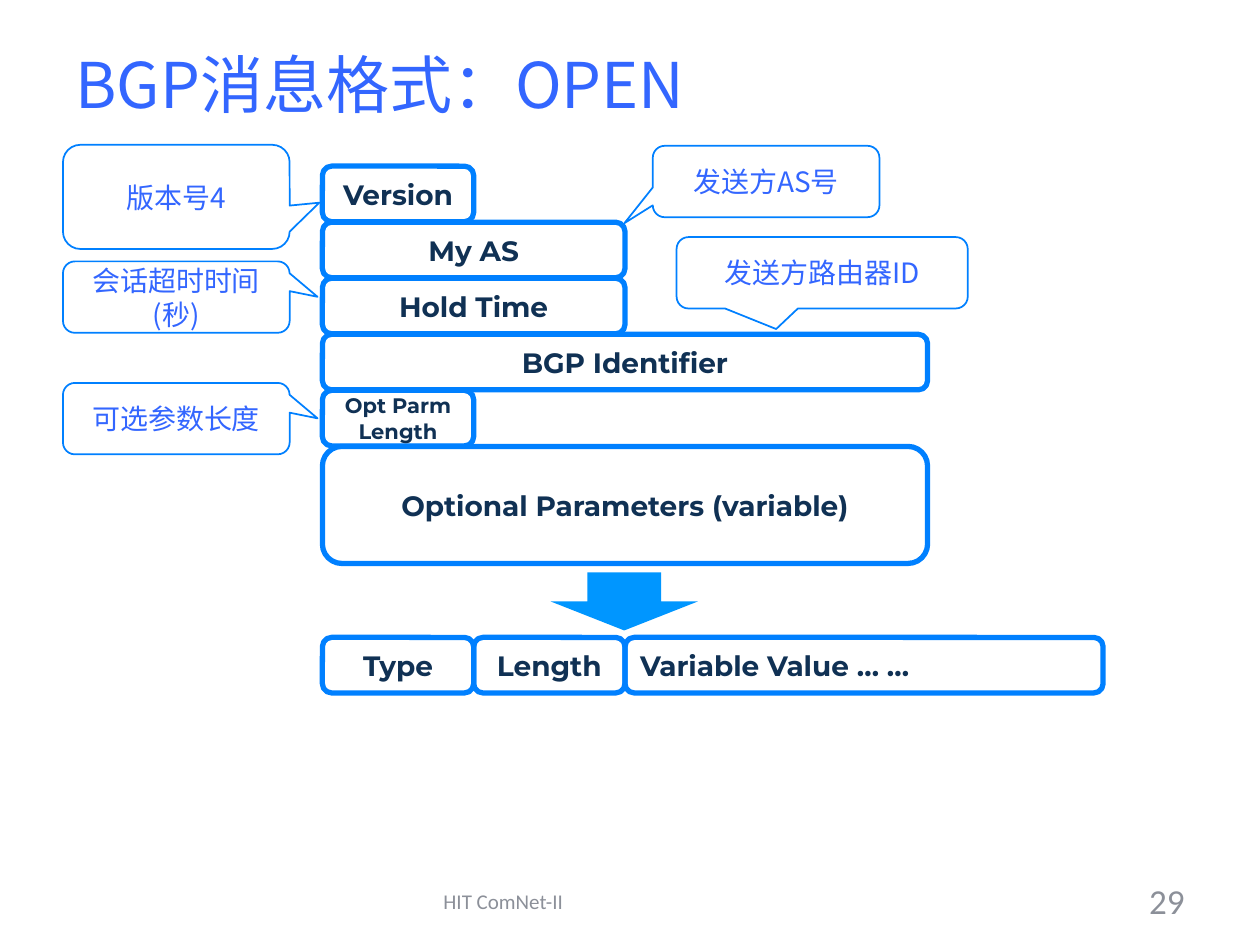
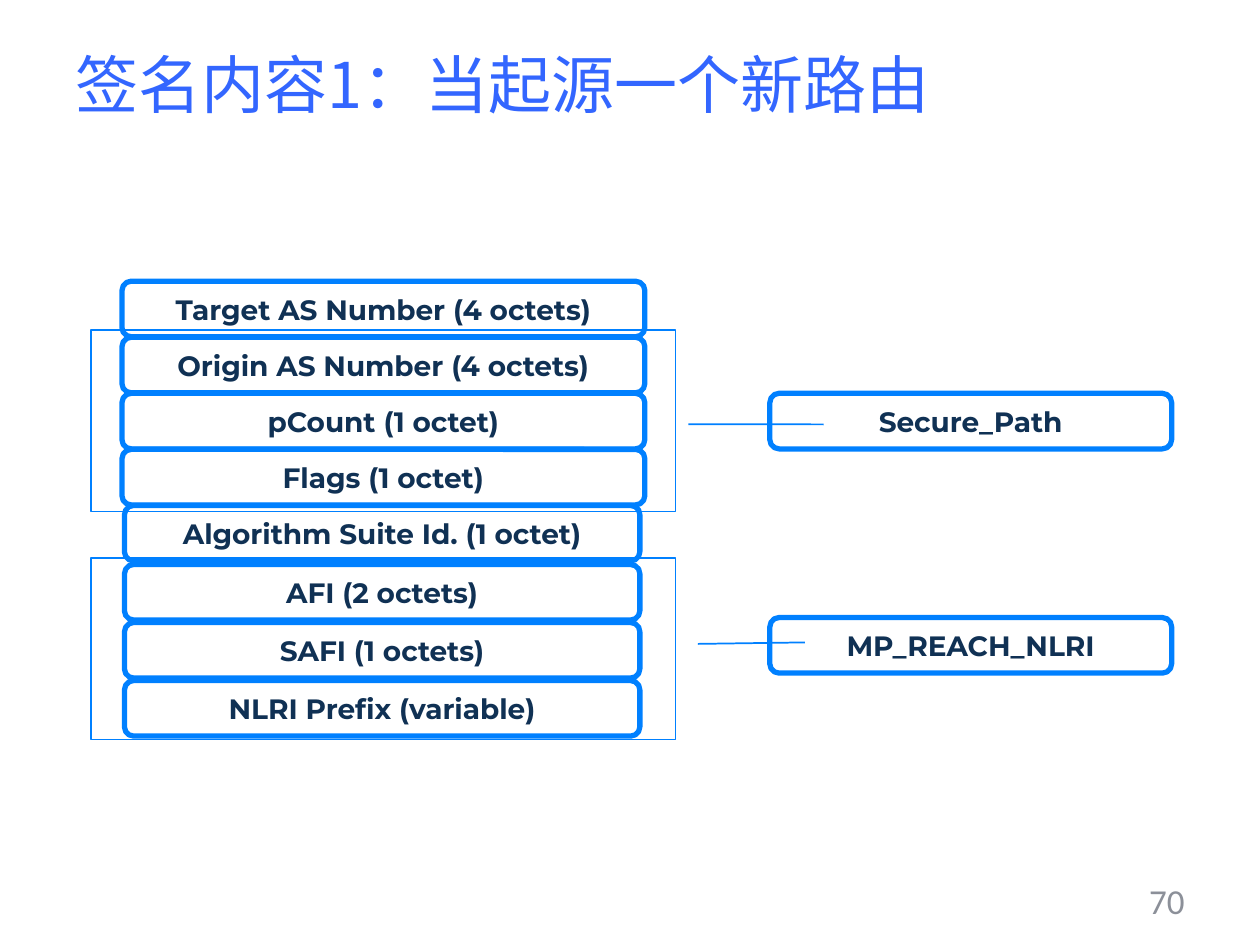
from lxml import etree
from pptx import Presentation
from pptx.dml.color import RGBColor
from pptx.enum import shapes, text
from pptx.oxml import ns
from pptx.util import Cm, Pt

COLORS = {
    "title": "3366FF",
    "field": "103154",
    "outline": "0080FF",
    "arrow": "0096FF",
    "footer": "8C9099",
}
CJK, LATIN, FOOTER = "Noto Sans CJK SC", "Montserrat", "Calibri"
KIND = shapes.MSO_SHAPE
ALIGN = text.PP_ALIGN

# All lengths are in centimetres.
ROW_HEIGHT = 1.12
ROW_PITCH = 1.13

OPEN = {
    "title": "BGP消息格式：OPEN",
    "footer": "HIT ComNet-II",
    "number": "29",
    "left": 6.5,
    "top": 3.35,
    "byte": 3.05,  # width of one octet
    # label, octets wide, height, text size
    "fields": [
        ("Version", 1, ROW_HEIGHT, 16),
        ("My AS", 2, ROW_HEIGHT, 16),
        ("Hold Time", 2, ROW_HEIGHT, 16),
        ("BGP Identifier", 4, ROW_HEIGHT, 16),
        ("Opt Parm Length", 1, ROW_HEIGHT, 12),
        ("Optional Parameters (variable)", 4, 2.36, 16),
    ],
    # label, left, top, width, height, tip as a share of the size from the centre
    "callouts": [
        ("版本号4", 1.27, 2.92, 4.57, 2.1, (0.631, 0.056)),
        ("会话超时时间(秒)", 1.27, 5.27, 4.57, 1.44, (0.623, -0.004)),
        ("可选参数长度", 1.27, 7.72, 4.57, 1.44, (0.623, -0.004)),
        ("发送方AS号", 13.16, 2.94, 4.57, 1.44, (-0.625, 0.583)),
        ("发送方路由器ID", 13.64, 4.78, 5.87, 1.44, (-0.158, 0.788)),
    ],
    "arrow": (11.1, 11.54, 2.97, 1.17),
    "parameter_top": 12.85,
    "parameter": [
        ("Type", 1, ALIGN.CENTER),
        ("Length", 1, ALIGN.CENTER),
        ("Variable Value … …", 3.16, ALIGN.LEFT),
    ],
}

SIGNATURE = {
    "title": "签名内容1：当起源一个新路由",
    "number": "70",
    # left, top, width, pitch, labels
    "stacks": [
        (2.46, 5.67, 10.54, ROW_PITCH, [
            "Target AS Number (4 octets)",
            "Origin AS Number (4 octets)",
            "pCount (1 octet)",
            "Flags (1 octet)",
        ]),
        (2.51, 10.19, 10.39, ROW_PITCH, ["Algorithm Suite Id. (1 octet)"]),
        (2.51, 11.38, 10.39, 1.17, [
            "AFI (2 octets)",
            "SAFI (1 octets)",
            "NLRI Prefix (variable)",
        ]),
    ],
    # attribute, its top, top of the bracket, leader as y1, x1, y2, x2
    "attributes": [
        ("Secure_Path", 7.93, 6.65, (0.52, 1.022, 0.521, 1.253)),
        ("MP_REACH_NLRI", 12.45, 11.25, (0.473, 1.038, 0.465, 1.221)),
    ],
}


def rgb(name):
    return RGBColor.from_string(COLORS[name])


def write(shape, words, *, font, size, color, bold=False, align=ALIGN.CENTER):
    """Put one formatted paragraph, vertically centred, into a shape."""
    frame = shape.text_frame
    frame.word_wrap = True
    frame.vertical_anchor = text.MSO_ANCHOR.MIDDLE
    paragraph = frame.paragraphs[0]
    paragraph.alignment = align
    run = paragraph.add_run()
    run.text = words
    run.font.name = font
    run.font.size = Pt(size)
    run.font.bold = bold
    run.font.color.rgb = rgb(color)
    east_asian = etree.SubElement(run.font._element, ns.qn("a:ea"))
    east_asian.set("typeface", font)


def add_label(slide, words, box, **style):
    write(slide.shapes.add_textbox(*map(Cm, box)), words, **style)


def add_outline(slide, kind, box, weight, adjustments=()):
    shape = slide.shapes.add_shape(kind, *map(Cm, box))
    shape.shadow.inherit = False
    shape.fill.background()
    shape.line.color.rgb = rgb("outline")
    shape.line.width = Pt(weight)
    for index, value in enumerate(adjustments):
        shape.adjustments[index] = value
    return shape


def add_field(slide, label, box, size=16, align=ALIGN.CENTER):
    field = add_outline(slide, KIND.ROUNDED_RECTANGLE, box, 3)
    write(field, label, font=LATIN, size=size, color="field", bold=True, align=align)


def add_page(deck, content):
    """Add a slide with its title, footer and page number."""
    slide = deck.slides.add_slide(deck.slide_layouts[6])
    add_label(slide, content["title"], (1.27, 0.1, 22.86, 3.18),
              font=CJK, size=36, color="title", align=ALIGN.LEFT)
    if "footer" in content:
        add_label(slide, content["footer"], (8.69, 17.65, 8.05, 1.02),
                  font=FOOTER, size=12, color="footer", align=ALIGN.LEFT)
    add_label(slide, content["number"], (18.21, 17.65, 5.92, 1.02),
              font=FOOTER, size=20, color="footer", align=ALIGN.RIGHT)
    return slide


def build_open(deck):
    slide = add_page(deck, OPEN)
    left, byte = OPEN["left"], OPEN["byte"]
    for row, (label, octets, height, size) in enumerate(OPEN["fields"]):
        top = OPEN["top"] + row * ROW_PITCH
        add_field(slide, label, (left, top, octets * byte, height), size)

    for label, *box, tip in OPEN["callouts"]:
        callout = add_outline(slide, KIND.ROUNDED_RECTANGULAR_CALLOUT, box, 1, tip)
        write(callout, label, font=CJK, size=16, color="title")

    arrow = slide.shapes.add_shape(KIND.DOWN_ARROW, *map(Cm, OPEN["arrow"]))
    arrow.shadow.inherit = False
    arrow.fill.solid()
    arrow.fill.fore_color.rgb = rgb("arrow")
    arrow.line.fill.background()

    for label, octets, align in OPEN["parameter"]:
        width = octets * byte
        add_field(slide, label, (left, OPEN["parameter_top"], width, ROW_HEIGHT), align=align)
        left += width


def build_signature(deck):
    slide = add_page(deck, SIGNATURE)
    for left, top, width, pitch, labels in SIGNATURE["stacks"]:
        for row, label in enumerate(labels):
            add_field(slide, label, (left, top + row * pitch, width, ROW_HEIGHT))

    for label, top, bracket_top, leader in SIGNATURE["attributes"]:
        add_outline(slide, KIND.LINE_CALLOUT_1, (1.83, bracket_top, 11.79, 3.66), 1, leader)
        add_field(slide, label, (15.52, top, 8.1, ROW_HEIGHT))


def main():
    deck = Presentation()
    deck.slide_width, deck.slide_height = Cm(25.4), Cm(19.05)
    build_open(deck)
    build_signature(deck)
    deck.save("out.pptx")


if __name__ == "__main__":
    main()
